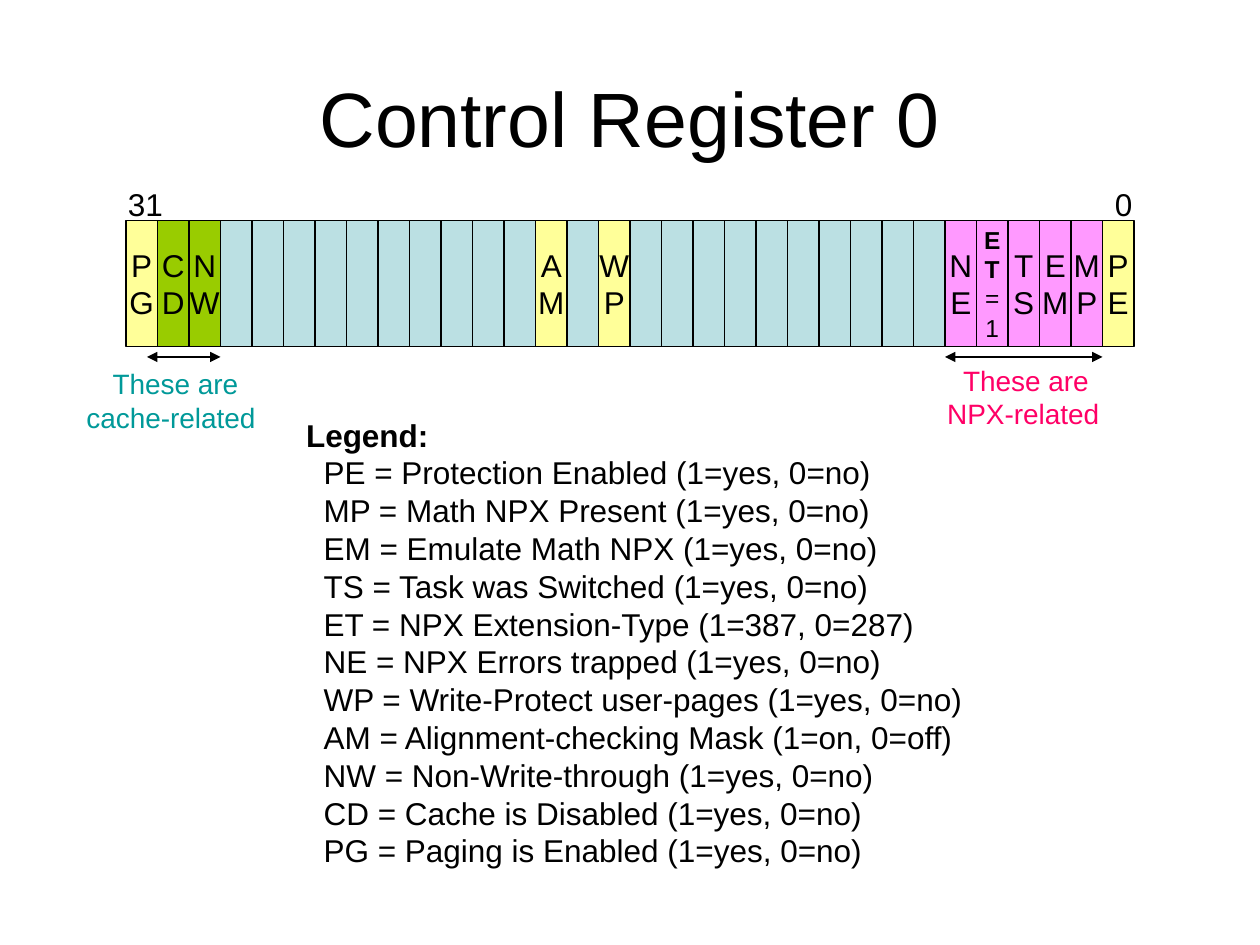
from lxml.etree import SubElement
from pptx import Presentation
from pptx.dml.color import RGBColor as RGB
from pptx.enum.shapes import MSO_CONNECTOR as LINE, MSO_SHAPE as SHAPE
from pptx.enum.text import MSO_ANCHOR as ANCHOR, PP_ALIGN as ALIGN
from pptx.oxml.ns import qn
from pptx.util import Pt

# Content
TITLE = "Control Register 0"
BLACK, PLAIN, YELLOW, GREEN, PINK = "000000", "BBE0E3", "FFFF99", "99CC00", "FF99FF"
BITS = {  # bit number: label, fill
    31: ("PG", YELLOW), 30: ("CD", GREEN), 29: ("NW", GREEN),
    18: ("AM", YELLOW), 16: ("WP", YELLOW),
    5: ("NE", PINK), 4: ("ET=1", PINK), 3: ("TS", PINK),
    2: ("EM", PINK), 1: ("MP", PINK), 0: ("PE", YELLOW),
}
LEGEND = [
    "Legend:",
    "PE = Protection Enabled (1=yes, 0=no)",
    "MP = Math NPX Present (1=yes, 0=no)",
    "EM = Emulate Math NPX (1=yes, 0=no)",
    "TS = Task was Switched (1=yes, 0=no)",
    "ET = NPX Extension-Type (1=387, 0=287)",
    "NE = NPX Errors trapped (1=yes, 0=no)",
    "WP = Write-Protect user-pages (1=yes, 0=no)",
    "AM = Alignment-checking Mask (1=on, 0=off)",
    "NW = Non-Write-through (1=yes, 0=no)",
    "CD = Cache is Disabled (1=yes, 0=no)",
    "PG = Paging is Enabled (1=yes, 0=no)",
]
NOTES = [  # lines, colour, box, first indent, arrow start and end
    (["These are", "NPX-related"], "FF0066", (534.2, 204, 104, 46), 9, (540, 630)),
    (["These are", "cache-related"], "009999", (42.3, 206, 111, 46), 15, (84, 126)),
]
ENDS = [("31", (66, 102.2, 35, 29)), ("0", (630, 102.2, 25, 29))]
LEFT, TOP, WIDE, HIGH, COUNT = 72, 126, 18, 72, 32
ARROW_Y = 204

prs = Presentation()
prs.slide_width, prs.slide_height = Pt(720), Pt(540)
slide = prs.slides.add_slide(prs.slide_layouts[6])
shapes = slide.shapes


def color(code):
    return RGB.from_string(code)


def write(frame, lines, size=18, ink=BLACK, align=ALIGN.LEFT, bold=0, indents=()):
    """Fill a frame; the first `bold` lines are bold, indents go by line."""
    frame.text = "\n".join(lines)
    frame.word_wrap = False
    for i, para in enumerate(frame.paragraphs):
        para.alignment = align
        if i < len(indents) and indents[i]:
            para._p.get_or_add_pPr().set("marL", str(Pt(indents[i])))
        for run in para.runs:
            font = run.font
            font.name, font.size, font.bold = "Arial", Pt(size), i < bold
            font.color.rgb = color(ink)


def add_text(box, lines, **style):
    frame = shapes.add_textbox(*map(Pt, box)).text_frame
    write(frame, lines, **style)
    return frame


def add_arrow(start, end, y):
    arrow = shapes.add_connector(LINE.STRAIGHT, Pt(start), Pt(y), Pt(end), Pt(y))
    arrow.line.color.rgb = color(BLACK)
    arrow.line.width = Pt(0.75)
    ln = arrow.line._get_or_add_ln()
    for tag in ("a:headEnd", "a:tailEnd"):
        SubElement(ln, qn(tag), type="triangle")
    SubElement(arrow._element.spPr, qn("a:effectLst"))


# Title
title = add_text((36, 21.6, 648, 90), [TITLE], size=44, align=ALIGN.CENTER)
title.vertical_anchor = ANCHOR.MIDDLE
title.word_wrap = True

# Register cells, highest bit first
for bit in reversed(range(COUNT)):
    label, fill = BITS.get(bit, ("", PLAIN))
    x = LEFT + (COUNT - 1 - bit) * WIDE
    cell = shapes.add_shape(SHAPE.RECTANGLE, Pt(x), Pt(TOP), Pt(WIDE), Pt(HIGH))
    cell.shadow.inherit = False
    cell.fill.solid()
    cell.fill.fore_color.rgb = color(fill)
    cell.line.color.rgb = color(BLACK)
    cell.line.width = Pt(0.75)
    if label:
        tall = len(label) > 2
        cell.text_frame.vertical_anchor = ANCHOR.MIDDLE
        write(cell.text_frame, list(label), size=14 if tall else 18,
              align=ALIGN.CENTER, bold=2 if tall else 0)

# Legend
add_text((167.8, 234, 389.5, 266.4), LEGEND, bold=1,
         indents=[0] + [10] * (len(LEGEND) - 1))

# Bit numbers
for number, box in ENDS:
    add_text(box, [number])

# Group notes with their arrows
for lines, ink, box, indent, span in NOTES:
    add_arrow(*span, ARROW_Y)
    add_text(box, lines, size=16, ink=ink, indents=[indent])

prs.save("out.pptx")
